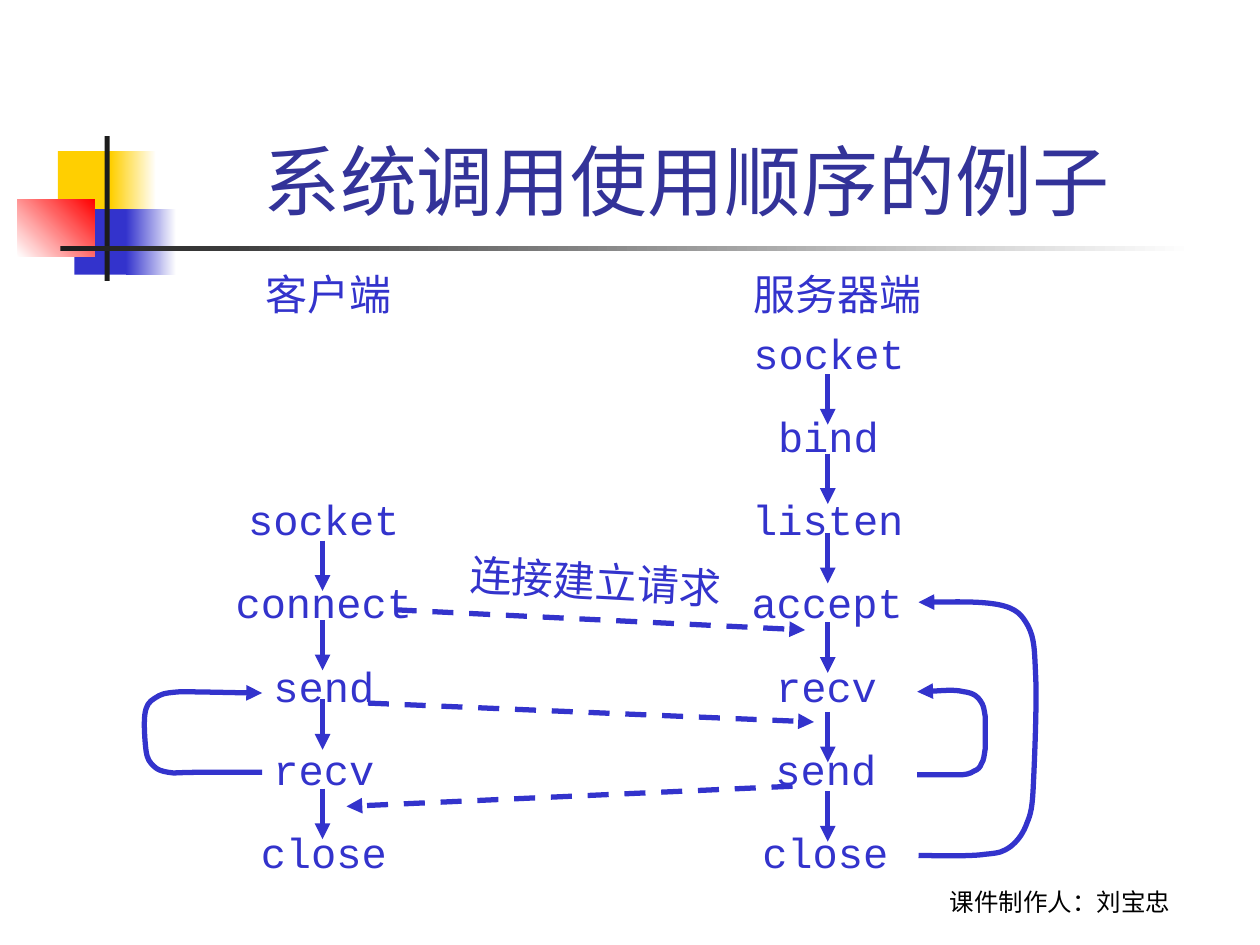
"""Build the slide on the order of socket calls in a client and a server."""
from dataclasses import dataclass

from lxml.etree import SubElement
from pptx import Presentation
from pptx.dml.color import RGBColor
from pptx.enum.dml import MSO_LINE
from pptx.enum.shapes import MSO_CONNECTOR, MSO_SHAPE
from pptx.enum.text import MSO_ANCHOR, MSO_AUTO_SIZE, PP_ALIGN
from pptx.oxml.ns import qn
from pptx.util import Inches, Pt

BLUE, YELLOW, RED, BLACK, WHITE = "3333CC", "FFCF01", "FF0000", "1C1C1C", "FFFFFF"
FIRST_ROW, ROW_PITCH, ROW_HEIGHT = 2.55, 0.66, 0.5
ARROW_LENGTH = 0.4

Point = tuple[float, float]


@dataclass(frozen=True)
class Block:
    left: float
    top: float
    width: float
    height: float
    color: str
    fade_to: str = ""
    angle: float = 0


@dataclass(frozen=True)
class Label:
    text: str
    left: float
    top: float
    width: float
    height: float = ROW_HEIGHT
    size: int = 24
    font: str = "Arial"
    color: str = BLUE
    align: PP_ALIGN = PP_ALIGN.LEFT
    anchor: MSO_ANCHOR = MSO_ANCHOR.TOP
    wrap: bool = False
    rotation: float = 0


@dataclass(frozen=True)
class Side:
    calls: tuple[str, ...]
    first_row: int
    center: float
    drift: float
    arrow_x: float
    arrow_tops: tuple[float, ...]


DECORATION = (
    Block(0.46, 1.2, 0.48, 0.52, YELLOW),
    Block(0.88, 1.2, 0.36, 0.52, YELLOW, WHITE),
    Block(0.59, 1.66, 0.46, 0.52, BLUE),
    Block(1, 1.66, 0.4, 0.52, BLUE, WHITE),
    Block(0.14, 1.58, 0.61, 0.46, WHITE, RED, 45),
    Block(0.83, 1.08, 0.04, 1.15, BLACK),
    Block(0.48, 1.95, 9, 0.04, BLACK, WHITE),
)
LABELS = (
    Label("课件制作人：刘宝忠", 6.83, 6.82, 3.17, size=14, font="Roboto", color="000000",
          align=PP_ALIGN.CENTER, anchor=MSO_ANCHOR.BOTTOM, wrap=True),
    Label("系统调用使用顺序的例子 ", 1.26, 0.24, 8.52, 1.6, size=44, color="333399",
          align=PP_ALIGN.CENTER, anchor=MSO_ANCHOR.BOTTOM, wrap=True),
    Label("服务器端", 5.88, 2.08, 1.53),
    Label("客户端", 2.01, 2.08, 1.2),
    Label("连接建立请求", 3.63, 4.36, 2.2, rotation=3.1),
)
SIDES = (
    Side(("socket", "bind", "listen", "accept", "recv", "send", "close"), 0, 6.58, 0.005, 6.57,
         (2.97, 3.6, 4.23, 4.94, 5.65, 6.28)),
    Side(("socket", "connect", "send", "recv", "close"), 2, 2.57, 0, 2.56,
         (4.29, 4.92, 5.55, 6.26)),
)
MESSAGES = (
    ((2.92, 5.58), (6.46, 5.73)),
    ((6.29, 6.24), (2.75, 6.4)),
    ((3.14, 4.84), (6.39, 5)),
)
LOOPS = (
    ((2.08, 6.13), (1.99, 6.13), (1.66, 6.13), (1.54, 6.13), (1.41, 6.13), (1.39, 6.14),
     (1.34, 6.13), (1.28, 6.12), (1.25, 6.11), (1.22, 6.08), (1.19, 6.05), (1.17, 6.03),
     (1.16, 5.96), (1.15, 5.89), (1.14, 5.74), (1.15, 5.67), (1.16, 5.6), (1.18, 5.57),
     (1.23, 5.54), (1.28, 5.51), (1.29, 5.5), (1.43, 5.49), (1.58, 5.49), (1.94, 5.5),
     (2.08, 5.5)),
    ((7.28, 6.15), (7.34, 6.15), (7.52, 6.15), (7.6, 6.15), (7.67, 6.15), (7.7, 6.14),
     (7.73, 6.12), (7.76, 6.11), (7.78, 6.09), (7.79, 6.06), (7.81, 6.03), (7.81, 6),
     (7.82, 5.94), (7.82, 5.88), (7.82, 5.75), (7.82, 5.69), (7.81, 5.63), (7.81, 5.6),
     (7.78, 5.56), (7.76, 5.53), (7.73, 5.5), (7.65, 5.49), (7.57, 5.47), (7.36, 5.49),
     (7.28, 5.49)),
    ((7.29, 6.79), (7.38, 6.79), (7.7, 6.8), (7.82, 6.78), (7.94, 6.77), (7.96, 6.76),
     (8.02, 6.72), (8.07, 6.68), (8.11, 6.63), (8.14, 6.56), (8.17, 6.48), (8.19, 6.46),
     (8.2, 6.26), (8.21, 6.06), (8.23, 5.58), (8.22, 5.37), (8.21, 5.15), (8.21, 5.07),
     (8.16, 4.97), (8.11, 4.88), (8.07, 4.83), (7.93, 4.8), (7.78, 4.77), (7.42, 4.78),
     (7.29, 4.78)),
)


def rgb(color: str) -> RGBColor:
    return RGBColor.from_string(color)


def draw_block(shapes, block: Block) -> None:
    rect = shapes.add_shape(MSO_SHAPE.RECTANGLE, Inches(block.left), Inches(block.top),
                            Inches(block.width), Inches(block.height))
    rect.shadow.inherit = False
    rect.line.fill.background()
    if not block.fade_to:
        rect.fill.solid()
        rect.fill.fore_color.rgb = rgb(block.color)
        return
    rect.fill.gradient()
    rect.fill.gradient_angle = block.angle
    for stop, color in zip(rect.fill.gradient_stops, (block.color, block.fade_to)):
        stop.color.rgb = rgb(color)


def draw_label(shapes, label: Label) -> None:
    box = shapes.add_textbox(Inches(label.left), Inches(label.top),
                             Inches(label.width), Inches(label.height))
    box.rotation = label.rotation
    frame = box.text_frame
    frame.word_wrap = label.wrap
    frame.auto_size = MSO_AUTO_SIZE.NONE if label.wrap else MSO_AUTO_SIZE.SHAPE_TO_FIT_TEXT
    frame.vertical_anchor = label.anchor
    paragraph = frame.paragraphs[0]
    paragraph.text = label.text
    paragraph.alignment = label.align
    paragraph.font.size = Pt(label.size)
    paragraph.font.name = label.font
    paragraph.font.color.rgb = rgb(label.color)


def style_arrow(arrow, dashed: bool = False) -> None:
    arrow.line.color.rgb = rgb(BLUE)
    arrow.line.width = Pt(3)
    if dashed:
        arrow.line.dash_style = MSO_LINE.DASH
    properties = arrow.element.spPr
    SubElement(properties.find(qn("a:ln")), qn("a:tailEnd"), type="triangle")


def draw_arrow(shapes, start: Point, end: Point, dashed: bool = False) -> None:
    arrow = shapes.add_connector(MSO_CONNECTOR.STRAIGHT, *map(Inches, start + end))
    style_arrow(arrow, dashed)
    SubElement(arrow.element.spPr, qn("a:effectLst"))


def bend_segments(loop) -> None:
    """Turn every three line segments into one cubic curve."""
    outline = next(loop.element.iter(qn("a:path")))
    segments = outline.findall(qn("a:lnTo"))
    for first in range(0, len(segments), 3):
        curve = SubElement(outline, qn("a:cubicBezTo"))
        for segment in segments[first:first + 3]:
            curve.append(segment[0])
            outline.remove(segment)


def draw_loop(shapes, points: tuple[Point, ...]) -> None:
    start, *controls = [(Inches(x), Inches(y)) for x, y in points]
    builder = shapes.build_freeform(*start)
    builder.add_line_segments(controls, close=False)
    loop = builder.convert_to_shape()
    bend_segments(loop)
    loop.shadow.inherit = False
    loop.fill.background()
    style_arrow(loop)


def draw_side(shapes, side: Side) -> None:
    for index, call in enumerate(side.calls):
        width = 0.2 * (len(call) + 1)
        left = side.center - index * side.drift - width / 2
        top = FIRST_ROW + (side.first_row + index) * ROW_PITCH
        draw_label(shapes, Label(call, left, top, width, font="Courier New",
                                 align=PP_ALIGN.CENTER))
    for top in side.arrow_tops:
        draw_arrow(shapes, (side.arrow_x, top), (side.arrow_x, top + ARROW_LENGTH))


def main() -> None:
    deck = Presentation()
    deck.slide_width, deck.slide_height = Inches(10), Inches(7.5)
    shapes = deck.slides.add_slide(deck.slide_layouts[6]).shapes
    for block in DECORATION:
        draw_block(shapes, block)
    for label in LABELS:
        draw_label(shapes, label)
    for side in SIDES:
        draw_side(shapes, side)
    for loop in LOOPS:
        draw_loop(shapes, loop)
    for start, end in MESSAGES:
        draw_arrow(shapes, start, end, dashed=True)
    deck.save("out.pptx")


if __name__ == "__main__":
    main()
